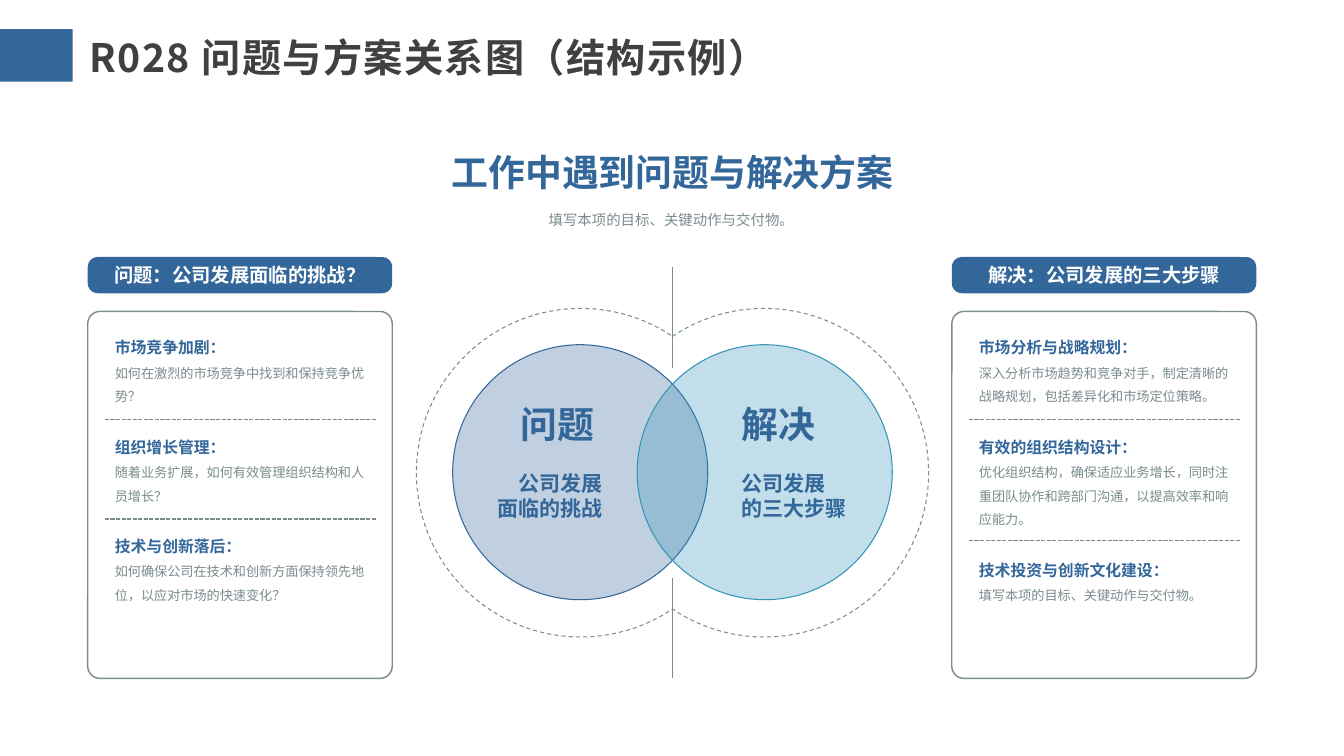
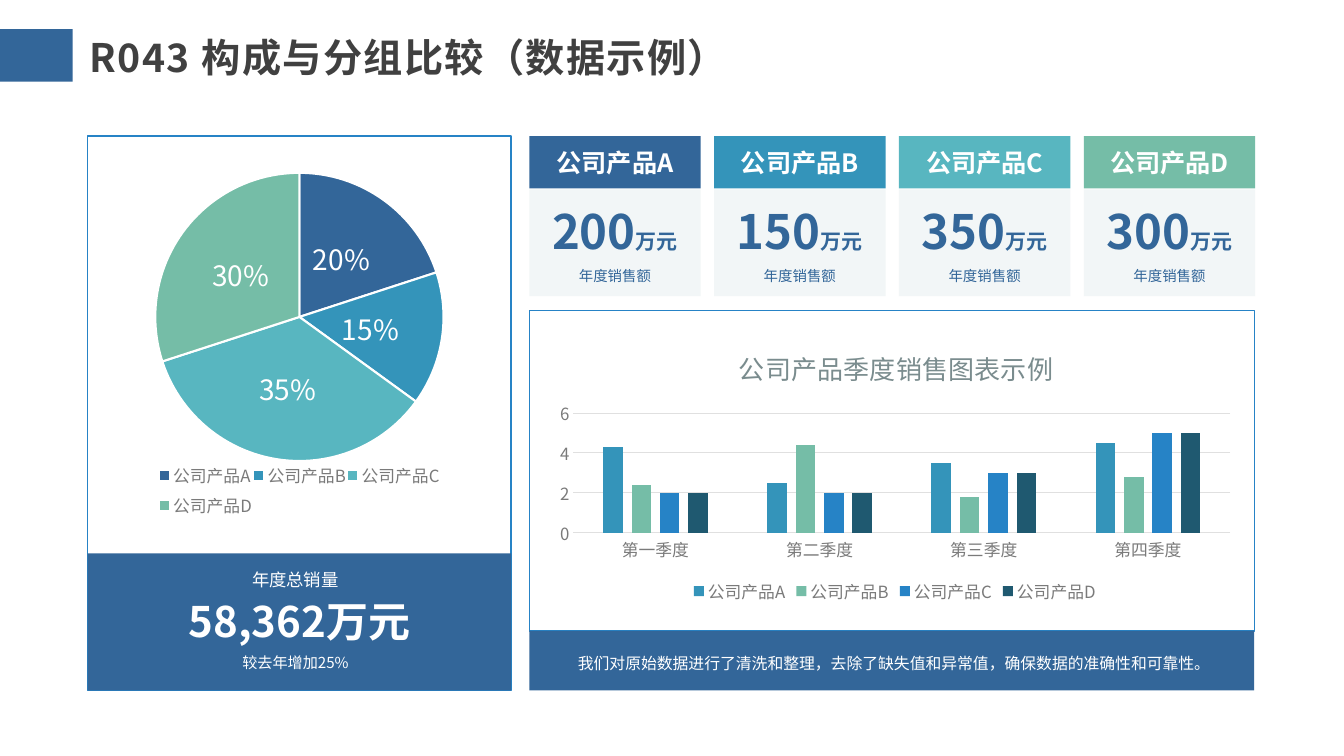
from math import acos, cos, pi, sin, tan
from typing import Any, NamedTuple
from pptx import Presentation
from pptx.chart.data import CategoryChartData
from pptx.dml.color import RGBColor
from pptx.enum.chart import XL_CHART_TYPE, XL_LABEL_POSITION, XL_LEGEND_POSITION, XL_TICK_MARK
from pptx.enum.dml import MSO_LINE
from pptx.enum.shapes import MSO_CONNECTOR, MSO_SHAPE
from pptx.enum.text import MSO_ANCHOR, MSO_AUTO_SIZE, PP_ALIGN
from pptx.oxml import parse_xml
from pptx.oxml.ns import nsdecls, qn
from pptx.util import Inches, Pt

LEFT, MID, RIGHT = PP_ALIGN.LEFT, PP_ALIGN.CENTER, PP_ALIGN.RIGHT
TOP, CENTER = MSO_ANCHOR.TOP, MSO_ANCHOR.MIDDLE
GROW, FIXED = MSO_AUTO_SIZE.SHAPE_TO_FIT_TEXT, MSO_AUTO_SIZE.NONE
RECT, ROUND, OVAL = MSO_SHAPE.RECTANGLE, MSO_SHAPE.ROUNDED_RECTANGLE, MSO_SHAPE.OVAL
DASH, DOTS, STRAIGHT = MSO_LINE.DASH, MSO_LINE.SQUARE_DOT, MSO_CONNECTOR.STRAIGHT
PIE, COLUMN = XL_CHART_TYPE.PIE, XL_CHART_TYPE.COLUMN_CLUSTERED
BOTTOM, INNER, NO_TICK = XL_LEGEND_POSITION.BOTTOM, XL_LABEL_POSITION.CENTER, XL_TICK_MARK.NONE
Box = tuple[float, float, float, float]

class Theme:
    face = "Noto Sans CJK SC"
    navy, blue, teal, mint = "336699", "3494BA", "58B6C0", "75BDA7"
    sky, deep, ink, gray = "2683C6", "1F5970", "404040", "7A8C8E"
    label, grid, pale, white = "7A7A7A", "E0E0E0", "F2F6F7", "FFFFFF"
    title, hero, total, figure = 28, 26.3, 30, 33.8
    pie, chart, card, sub, tab = 20, 18.6, 18, 15, 13.8
    cap, axis, head, growth, note, body = 12.4, 12, 11.3, 10.8, 10.3, 9.4

T = Theme()

class Style(NamedTuple):
    size: float
    hue: str
    bold: bool = False

class Para(NamedTuple):
    text: str
    style: Style
    side: Any = MID
    lead: float = 1.0
    gap: float = 0
    unit: str = ""

class Edge(NamedTuple):
    hue: str
    width: float
    dash: Any = None

class Panel(NamedTuple):
    x: float
    tab: str
    items: tuple[tuple[str, str], ...]
    rules: tuple[float, float]

class Circle(NamedTuple):
    x: float
    hue: str
    side: Any
    name: str
    word: Box
    lines: tuple[str, str]
    detail: Box

class Card(NamedTuple):
    name: str
    hue: str
    bar: str
    amount: str
    share: float
    sales: tuple[float, ...]

PANELS = (
    Panel(0.87, "问题：公司发展面临的挑战？", (
        ("市场竞争加剧：", "如何在激烈的市场竞争中找到和保持竞争优势？"),
        ("组织增长管理：", "随着业务扩展，如何有效管理组织结构和人员增长？"),
        ("技术与创新落后：", "如何确保公司在技术和创新方面保持领先地位，以应对市场的快速变化？"),
    ), (4.16, 5.15)),
    Panel(9.44, "解决：公司发展的三大步骤", (
        ("市场分析与战略规划：", "深入分析市场趋势和竞争对手，制定清晰的战略规划，包括差异化和市场定位策略。"),
        ("有效的组织结构设计：", "优化组织结构，确保适应业务增长，同时注重团队协作和跨部门沟通，以提高效率和响应能力。"),
        ("技术投资与创新文化建设：", "填写本项的目标、关键动作与交付物。"),
    ), (4.16, 5.36)),
)
CIRCLES = (
    Circle(4.49, T.navy, RIGHT, "问题", (5.06, 3.94, 0.93, 0.54),
           ("公司发展", "面临的挑战"), (4.83, 4.62, 1.24, 0.6)),
    Circle(6.32, T.blue, LEFT, "解决", (7.26, 3.94, 0.93, 0.54),
           ("公司发展", "的三大步骤"), (7.26, 4.62, 1.24, 0.6)),
)
CARDS = (
    Card("公司产品A", T.navy, T.blue, "200", 0.2, (4.3, 2.5, 3.5, 4.5)),
    Card("公司产品B", T.blue, T.mint, "150", 0.15, (2.4, 4.4, 1.8, 2.8)),
    Card("公司产品C", T.teal, T.sky, "350", 0.35, (2, 2, 3, 5)),
    Card("公司产品D", T.mint, T.deep, "300", 0.3, (2, 2, 3, 5)),
)
TERMS = ("第一季度", "第二季度", "第三季度", "第四季度")

def assign(target: Any, values: dict[str, Any]) -> None:
    for key, value in values.items():
        setattr(target, key, value)

def inch(box: Box) -> tuple[int, ...]:
    return tuple(Inches(v) for v in box)

def dress(font: Any, style: Style) -> None:
    assign(font, {"name": T.face, "size": Pt(style.size), "bold": style.bold})
    font.color.rgb = RGBColor.from_string(style.hue)

def paint(fill: Any, hue: str | None) -> None:
    if hue is None:
        fill.background()
    else:
        fill.solid()
        fill.fore_color.rgb = RGBColor.from_string(hue)

def trace(line: Any, edge: Edge | None) -> None:
    paint(line.fill, edge.hue if edge else None)
    if edge:
        assign(line, {"width": Pt(edge.width), "dash_style": edge.dash})

def write(frame: Any, paras: list[Para], anchor: Any = TOP, size: Any = GROW,
          wrap: bool = True, inset: float | None = None) -> None:
    assign(frame, {"word_wrap": wrap, "auto_size": size, "vertical_anchor": anchor})
    if inset is not None:
        assign(frame, {f"margin_{s}": Inches(inset) for s in ("left", "right", "top", "bottom")})
    for i, para in enumerate(paras):
        line = frame.add_paragraph() if i else frame.paragraphs[0]
        assign(line, {"alignment": para.side, "line_spacing": para.lead, "space_before": Pt(para.gap)})
        for words, style in ((para.text, para.style), (para.unit, Style(T.sub, T.navy, True))):
            if words:
                run = line.add_run()
                run.text = words
                dress(run.font, style)

def text(page: Any, box: Box, paras: list[Para], wrap: bool = True, inset: float | None = None) -> None:
    write(page.shapes.add_textbox(*inch(box)).text_frame, paras, wrap=wrap, inset=inset)

def shape(page: Any, kind: Any, box: Box, fill: str | None = None, edge: Edge | None = None,
          para: Para | None = None, bend: float | None = None) -> Any:
    item = page.shapes.add_shape(kind, *inch(box))
    item.shadow.inherit = False
    paint(item.fill, fill)
    trace(item.line, edge)
    if bend is not None:
        item.adjustments[0] = bend
    if para is not None:
        write(item.text_frame, [para], CENTER, FIXED, inset=0.03)
    return item

def rule(page: Any, x: float, y: float, w: float, h: float, edge: Edge) -> None:
    line = page.shapes.add_connector(STRAIGHT, *inch((x, y, x + w, y + h)))
    trace(line.line, edge)
    line.element.spPr.append(parse_xml(f"<a:effectLst {nsdecls('a')}/>"))

def pair(root: Any) -> None:
    for node in list(root.iter(qn("a:latin"))):
        node.addnext(parse_xml(f'<a:ea {nsdecls("a")} typeface="{T.face}"/>'))

def start(deck: Any, name: str) -> Any:
    page = deck.slides.add_slide(deck.slide_layouts[5])
    title = page.shapes.title
    assign(title, dict(zip(("left", "top", "width", "height"), inch((0.79, 0.28, 10.28, 0.57)))))
    write(title.text_frame, [Para(name, Style(T.title, T.ink, True), LEFT)], CENTER)
    for node in title.element.iter(qn("a:rPr")):
        node.set("spc", "100")
    return page

def ring(page: Any, x: float, y: float, shift: float, size: float) -> None:
    turn, arcs = pi - acos(shift / size), []
    for side, base in ((1, 0), (-1, pi)):
        stops = [base + t for t in (-turn, -pi / 2, 0, pi / 2, turn)]
        for a, b in zip(stops, stops[1:]):
            k = 4 / 3 * tan((b - a) / 4)
            arcs.append([inch((x + side * shift + size * (cos(t) - m * sin(t)), y + size * (sin(t) + m * cos(t))))
                         for t, m in ((a, 0), (a, k), (b, -k), (b, 0))])
    pen = page.shapes.build_freeform(*arcs[0][0], scale=1.0)
    pen.add_line_segments([arc[3] for arc in arcs], close=True)
    item = pen.convert_to_shape()
    for node, arc in zip(list(item.element.iter(qn("a:lnTo"))), arcs):
        spots = "".join(f'<a:pt x="{px - item.left}" y="{py - item.top}"/>' for px, py in arc[1:])
        node.getparent().replace(node, parse_xml(f"<a:cubicBezTo {nsdecls('a')}>{spots}</a:cubicBezTo>"))
    item.shadow.inherit = False
    paint(item.fill, None)
    trace(item.line, Edge(T.gray, 0.75, DASH))

def venn(page: Any) -> None:
    ring(page, 6.67, 4.69, 0.91, 1.63)
    for disc in CIRCLES:
        item = shape(page, OVAL, (disc.x, 3.42, 2.53, 2.53), disc.hue, Edge(disc.hue, 0.75))
        tint = item.element.spPr.find(qn("a:solidFill"))[0]
        tint.append(parse_xml(f'<a:alpha {nsdecls("a")} val="30000"/>'))
    for y in (2.65, 5.73):
        rule(page, 6.67, y, 0, 1, Edge(T.gray, 0.75))
    for disc in CIRCLES:
        text(page, disc.word, [Para(disc.name, Style(T.hero, T.navy, True), disc.side)], False)
        text(page, disc.detail, [Para(s, Style(T.sub, T.navy, True), disc.side) for s in disc.lines], False)

def panel(page: Any, side: Panel) -> None:
    shape(page, ROUND, (side.x, 3.09, 3.02, 3.64), None, Edge(T.gray, 1), bend=0.04)
    shape(page, ROUND, (side.x, 2.55, 3.02, 0.36), T.navy,
          para=Para(side.tab, Style(T.tab, T.white, True)), bend=0.28)
    paras = []
    for i, (head, body) in enumerate(side.items):
        paras += [Para(head, Style(T.head, T.navy, True), LEFT, 1.5, 16.8 if i else 0),
                  Para(body, Style(T.body, T.gray), LEFT, 1.5)]
    text(page, (side.x + 0.24, 3.23, 2.63, 2.81), paras, inset=0.03)
    for y in side.rules:
        rule(page, side.x + 0.17, y, 2.69, 0, Edge(T.gray, 1, DOTS))

def place(node: Any, spot: int, parts: tuple[float, ...], inner: str = "") -> None:
    for old in node.findall(qn("c:layout")):
        node.remove(old)
    sizes = "".join(f'<c:{k} val="{v}"/>' for k, v in zip("xywh", parts))
    node.insert(spot, parse_xml(f'<c:layout {nsdecls("c")}><c:manualLayout>{inner}<c:xMode val="edge"/>'
                                f'<c:yMode val="edge"/>{sizes}</c:manualLayout></c:layout>'))

def graph(page: Any, kind: Any, box: Box, names: tuple[str, ...], rows: dict[str, Any], area: Box) -> Any:
    data = CategoryChartData()
    data.categories = names
    for name, values in rows.items():
        data.add_series(name, values)
    chart = page.shapes.add_chart(kind, *inch(box), data).chart
    assign(chart, {"has_title": False, "has_legend": True})
    assign(chart.legend, {"position": BOTTOM, "include_in_layout": False})
    for font in (chart.font, chart.legend.font):
        dress(font, Style(T.axis, T.label))
    place(chart.element.find(".//" + qn("c:plotArea")), 0, area, '<c:layoutTarget val="inner"/>')
    return chart

def share(page: Any) -> None:
    chart = graph(page, PIE, (1.21, 1.57, 3.52, 3.62), tuple(c.name for c in CARDS),
                  {"Series 1": [c.share for c in CARDS]}, (0.09, 0.04, 0.82, 0.79))
    place(chart.element.find(".//" + qn("c:legend")), 1, (0.1, 0.82, 0.8, 0.18))
    plot = chart.plots[0]
    assign(plot, {"vary_by_categories": True, "has_data_labels": True})
    assign(plot.data_labels, {"show_value": True, "show_percentage": False, "position": INNER,
                              "number_format": "0%", "number_format_is_linked": False})
    dress(plot.data_labels.font, Style(T.pie, T.white))
    for i, card in enumerate(CARDS):
        slot = plot.series[0].points[i].format
        paint(slot.fill, card.hue)
        trace(slot.line, Edge(T.white, 1.5))
    pair(chart.element)

def sales(page: Any) -> None:
    chart = graph(page, COLUMN, (5.41, 3.27, 6.93, 2.76), TERMS,
                  {c.name: c.sales for c in CARDS}, (0.04, 0.3, 0.94, 0.43))
    write(chart.chart_title.text_frame, [Para("公司产品季度销售图表示例", Style(T.chart, T.gray))], size=None)
    place(chart.chart_title.element, 1, (0.27, 0.04))
    assign(chart.plots[0], {"vary_by_categories": False, "gap_width": 304, "overlap": -45})
    for row, card in zip(chart.plots[0].series, CARDS):
        paint(row.format.fill, card.bar)
    for axis, edge in ((chart.category_axis, Edge(T.grid, 0.75)), (chart.value_axis, None)):
        assign(axis, {"major_tick_mark": NO_TICK, "minor_tick_mark": NO_TICK})
        dress(axis.tick_labels.font, Style(T.axis, T.label))
        trace(axis.format.line, edge)
    assign(chart.value_axis, {"minimum_scale": 0, "maximum_scale": 6, "major_unit": 2})
    trace(chart.value_axis.major_gridlines.format.line, Edge(T.grid, 0.75))
    pair(chart.element)

def match(deck: Any) -> Any:
    page = start(deck, "R028 问题与方案关系图（结构示例）")
    text(page, (4.36, 1.44, 4.62, 0.54), [Para("工作中遇到问题与解决方案", Style(T.hero, T.navy, True))], False)
    text(page, (0.86, 1.96, 11.6, 0.33),
         [Para("填写本项的目标、关键动作与交付物。", Style(T.note, T.gray), lead=1.5)])
    venn(page)
    for side in PANELS:
        panel(page, side)
    return page

def compare(deck: Any) -> Any:
    page = start(deck, "R043 构成与分组比较（数据示例）")
    shape(page, RECT, (0.87, 1.35, 4.2, 5.5), T.white, Edge(T.sky, 1))
    share(page)
    shape(page, RECT, (0.87, 5.49, 4.2, 1.36), T.navy)
    text(page, (2.26, 5.6, 1.34, 0.31), [Para("年度总销量", Style(T.cap, T.white))])
    text(page, (1.66, 5.86, 2.62, 0.61), [Para("58,362万元", Style(T.total, T.white, True))])
    text(page, (1.82, 6.43, 2.22, 0.3), [Para("较去年增加25%", Style(T.growth, T.white))])
    for i, card in enumerate(CARDS):
        x = 5.25 + 5.5 * i / 3
        shape(page, RECT, (x, 1.35, 1.7, 0.52), card.hue, para=Para(card.name, Style(T.card, T.white, True)))
        shape(page, RECT, (x, 1.88, 1.7, 1.06), T.pale)
        text(page, (x, 1.96, 1.7, 0.68), [Para(card.amount, Style(T.figure, T.navy, True), unit="万元")])
        text(page, (x, 2.6, 1.7, 0.27), [Para("年度销售额", Style(T.note, T.navy))])
    shape(page, RECT, (5.25, 3.08, 7.19, 3.18), T.white, Edge(T.sky, 1))
    sales(page)
    shape(page, RECT, (5.25, 6.26, 7.19, 0.59), T.navy)
    text(page, (5.4, 6.34, 6.93, 0.35), [Para(
        "我们对原始数据进行了清洗和整理，去除了缺失值和异常值，确保数据的准确性和可靠性。",
        Style(T.head, T.white), lead=1.5)])
    return page

def main() -> None:
    deck = Presentation()
    assign(deck, {"slide_width": Inches(13.33), "slide_height": Inches(7.5)})
    pages = [match(deck), compare(deck)]
    band = shape(pages[0], RECT, (0, 0.29, 0.72, 0.52), T.navy)
    deck.slide_layouts[5].shapes.element.append(band.element)
    for page in pages:
        pair(page.element)
    deck.save("out.pptx")

if __name__ == "__main__":
    main()
